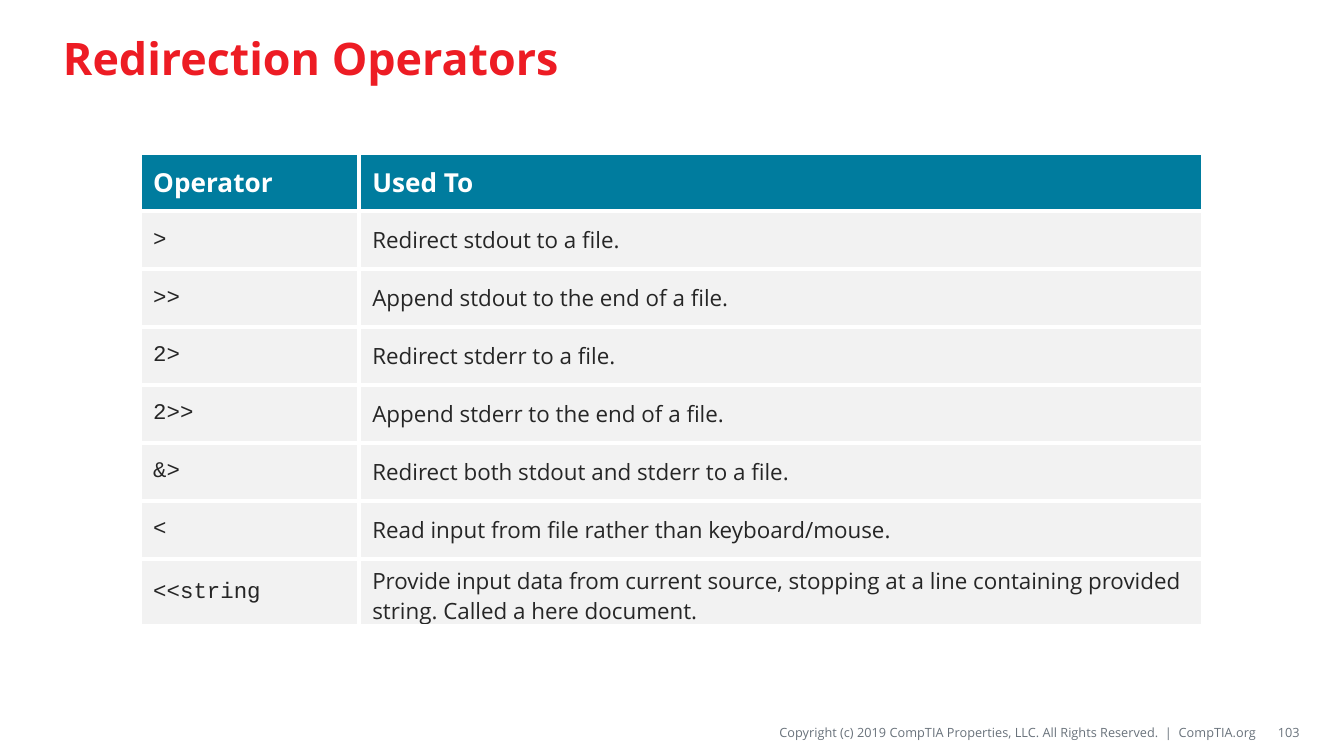
from lxml.etree import SubElement
from pptx import Presentation
from pptx.dml.color import RGBColor
from pptx.enum.text import MSO_ANCHOR, PP_ALIGN
from pptx.oxml.ns import qn
from pptx.util import Pt

EMU_PER_PX = 9144
COLORS = {
    "title": "ED1C24",
    "header": "007C9E",
    "row": "F2F2F2",
    "body": "262626",
    "footer": "69727B",
    "white": "FFFFFF",
}
SANS, MONO = "Open Sans", "Courier New"
HEADINGS = ("Operator", "Used To")
OPERATORS = (
    (">", "Redirect stdout to a file."),
    (">>", "Append stdout to the end of a file."),
    ("2>", "Redirect stderr to a file."),
    ("2>>", "Append stderr to the end of a file."),
    ("&>", "Redirect both stdout and stderr to a file."),
    ("<", "Read input from file rather than keyboard/mouse."),
    ("<<string", "Provide input data from current source, stopping at a line "
                 "containing provided string. Called a here document."),
)
COPYRIGHT = ("Copyright (c) 2019 CompTIA Properties, LLC. "
             "All Rights Reserved.  |  CompTIA.org")


def px(length):
    """Turn px into EMU."""
    return int(length * EMU_PER_PX)


def rgb(name):
    """Look up a named colour."""
    return RGBColor.from_string(COLORS[name])


def write(frame, text, *, size, color, font=SANS, bold=False, align=PP_ALIGN.LEFT):
    """Put one formatted paragraph in a text frame."""
    paragraph = frame.paragraphs[0]
    paragraph.alignment = align
    run = paragraph.add_run()
    run.text = text
    run.font.name = font
    run.font.size = Pt(size)
    run.font.bold = bold
    run.font.color.rgb = rgb(color)


def add_text(slide, box, text, margins=(10, 5, 10, 5), **text_format):
    """Add a wrapped, vertically centred text box."""
    frame = slide.shapes.add_textbox(*map(px, box)).text_frame
    frame.word_wrap = True
    frame.vertical_anchor = MSO_ANCHOR.MIDDLE
    (frame.margin_left, frame.margin_top,
     frame.margin_right, frame.margin_bottom) = map(px, margins)
    write(frame, text, **text_format)


def style_cell(cell, fill):
    """Give a cell its fill, centring and white borders."""
    cell.vertical_anchor = MSO_ANCHOR.MIDDLE
    properties = cell._tc.get_or_add_tcPr()
    for side in ("a:lnL", "a:lnR", "a:lnT", "a:lnB"):
        border = SubElement(properties, qn(side), w=str(Pt(2.25)))
        border_fill = SubElement(border, qn("a:solidFill"))
        SubElement(border_fill, qn("a:srgbClr"), val=COLORS["white"])
    cell.fill.solid()
    cell.fill.fore_color.rgb = rgb(fill)


def add_operator_table(slide, box, operator_width):
    """Add the table of operators and their uses."""
    left, top, width, height = box
    row_count = len(OPERATORS) + 1
    table = slide.shapes.add_table(
        row_count, len(HEADINGS), px(left), px(top), px(width), px(height)).table
    table.horz_banding = False
    table.columns[0].width = px(operator_width)
    table.columns[1].width = px(width - operator_width)
    for row in table.rows:
        row.height = px(height / row_count)
    for row_index, texts in enumerate((HEADINGS, *OPERATORS)):
        for column_index, text in enumerate(texts):
            cell = table.cell(row_index, column_index)
            if row_index == 0:
                style_cell(cell, "header")
                write(cell.text_frame, text, size=14, color="white", bold=True)
            else:
                style_cell(cell, "row")
                write(cell.text_frame, text, size=12, color="body",
                      font=SANS if column_index else MONO)


def add_footer(slide, box, number_width):
    """Add the copyright line and the slide number."""
    left, top, width, height = box
    footer_format = {"size": 6.8, "color": "footer", "align": PP_ALIGN.RIGHT}
    number_left = left + width - number_width
    add_text(slide, (left, top, width - number_width - 3, height), COPYRIGHT,
             margins=(0, 4, 0, 4), **footer_format)
    add_text(slide, (number_left, top, number_width, height), "103",
             margins=(10, 5, 0, 5), **footer_format)


def main():
    """Build and save the slide."""
    deck = Presentation()
    deck.slide_width, deck.slide_height = px(1000), px(562.5)
    slide = deck.slides.add_slide(deck.slide_layouts[6])
    add_text(slide, (37, 8, 925, 69), "Redirection Operators",
             size=24, color="title", bold=True)
    add_operator_table(slide, (104, 114, 791, 345), operator_width=163)
    add_footer(slide, (388, 534, 579, 22), number_width=29)
    deck.save("out.pptx")


if __name__ == "__main__":
    main()
